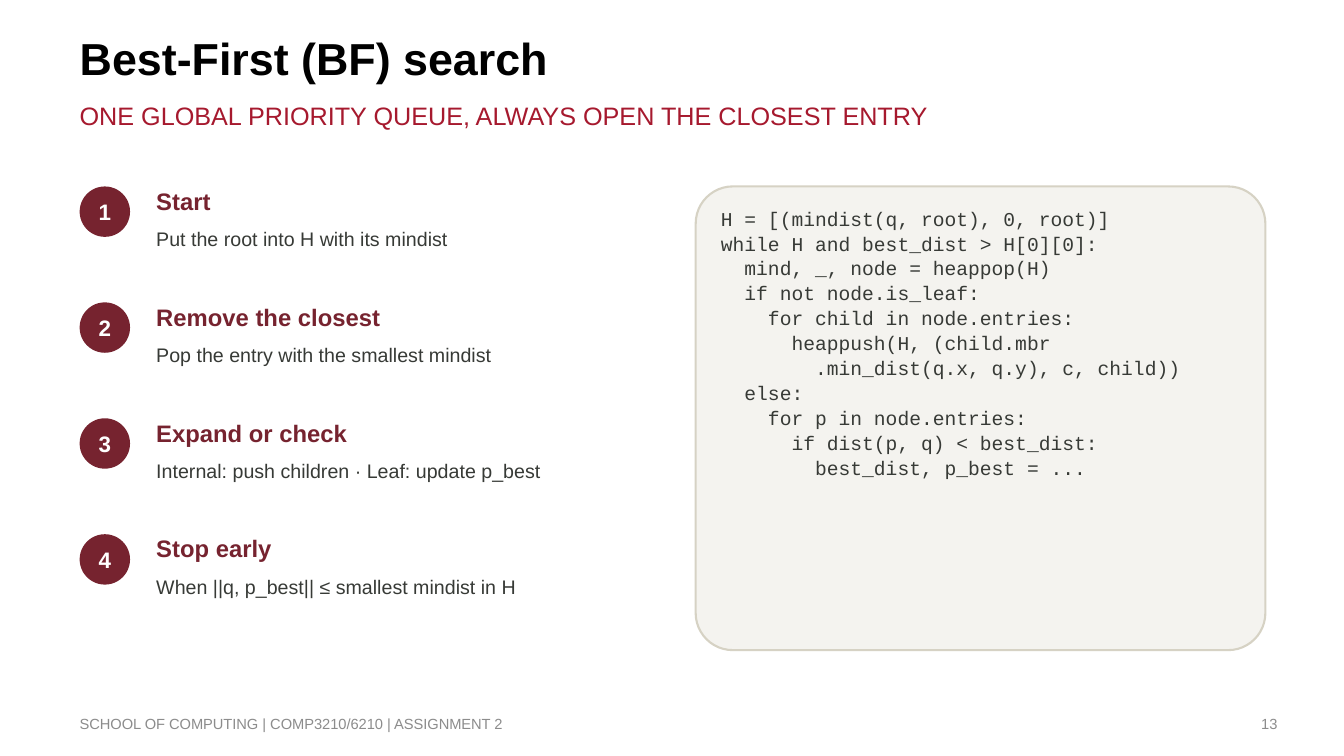
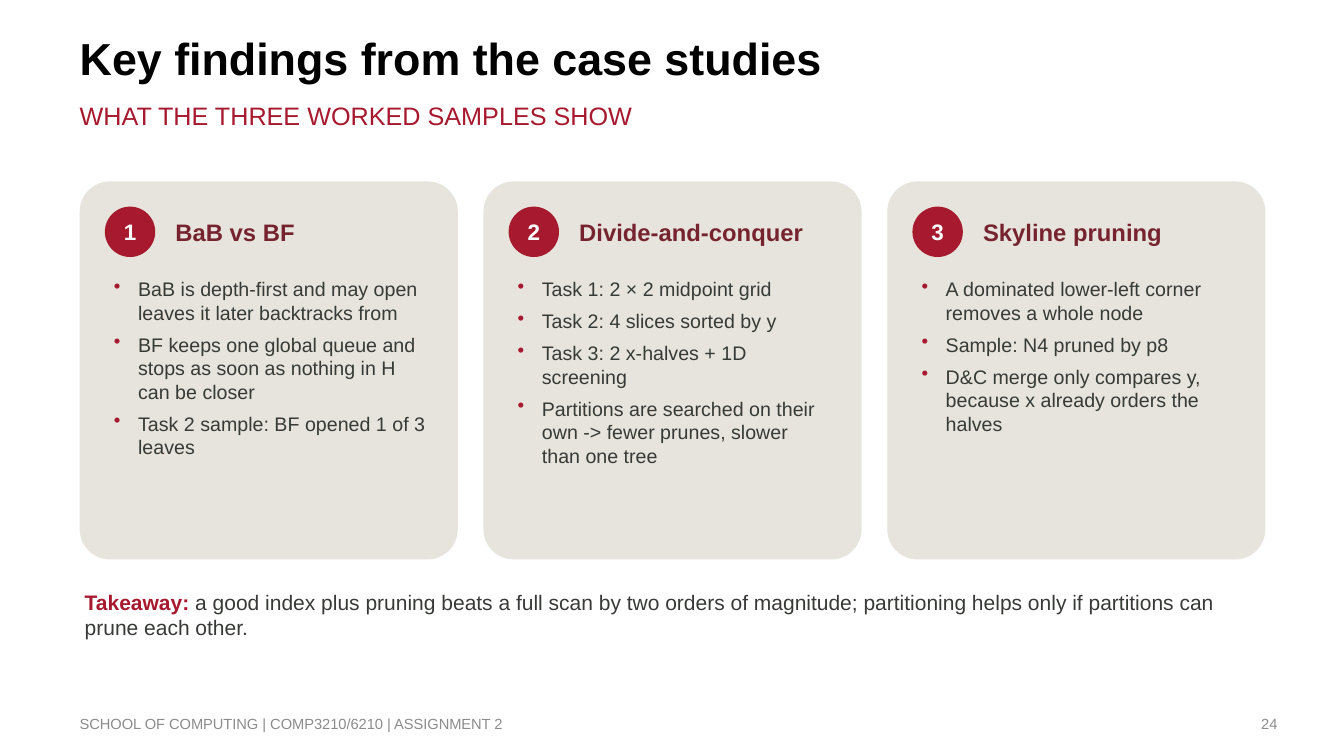
from lxml.etree import SubElement
from pptx import Presentation
from pptx.dml.color import RGBColor
from pptx.enum.shapes import MSO_SHAPE as Shape
from pptx.enum.text import MSO_ANCHOR as Anchor, PP_ALIGN as Align
from pptx.oxml.ns import qn
from pptx.util import Inches, Pt

BLACK = RGBColor(0x00, 0x00, 0x00)
WHITE = RGBColor(0xFF, 0xFF, 0xFF)
RED = RGBColor(0xA6, 0x19, 0x2E)
MAROON = RGBColor(0x76, 0x23, 0x2F)
CHARCOAL = RGBColor(0x37, 0x3A, 0x36)
GREY = RGBColor(0x8C, 0x8C, 0x8C)
SAND = RGBColor(0xE6, 0xE4, 0xDC)
SAND_EDGE = RGBColor(0xD6, 0xD2, 0xC4)
PAPER = RGBColor(0xF4, 0xF3, 0xEF)

LEFT, CONTENT_WIDTH = 0.79, 11.76
BADGE_SIZE = 0.5
PADDING = 0.05
FOOTER = "SCHOOL OF COMPUTING | COMP3210/6210 | ASSIGNMENT 2"

STEPS = [
    ("Start", "Put the root into H with its mindist"),
    ("Remove the closest", "Pop the entry with the smallest mindist"),
    ("Expand or check", "Internal: push children · Leaf: update p_best"),
    ("Stop early", "When ||q, p_best|| ≤ smallest mindist in H"),
]

CODE = """\
H = [(mindist(q, root), 0, root)]
while H and best_dist > H[0][0]:
  mind, _, node = heappop(H)
  if not node.is_leaf:
    for child in node.entries:
      heappush(H, (child.mbr
        .min_dist(q.x, q.y), c, child))
  else:
    for p in node.entries:
      if dist(p, q) < best_dist:
        best_dist, p_best = ..."""

FINDINGS = [
    ("BaB vs BF", [
        "BaB is depth-first and may open leaves it later backtracks from",
        "BF keeps one global queue and stops as soon as nothing in H can be closer",
        "Task 2 sample: BF opened 1 of 3 leaves",
    ]),
    ("Divide-and-conquer", [
        "Task 1: 2 × 2 midpoint grid",
        "Task 2: 4 slices sorted by y",
        "Task 3: 2 x-halves + 1D screening",
        "Partitions are searched on their own -> fewer prunes, slower than one tree",
    ]),
    ("Skyline pruning", [
        "A dominated lower-left corner removes a whole node",
        "Sample: N4 pruned by p8",
        "D&C merge only compares y, because x already orders the halves",
    ]),
]

TAKEAWAY = ("a good index plus pruning beats a full scan by two orders of magnitude; "
            "partitioning helps only if partitions can prune each other.")


def set_frame(frame, padding, anchor):
    frame.word_wrap = True
    frame.vertical_anchor = anchor
    frame.margin_left = frame.margin_right = Inches(padding)
    frame.margin_top = frame.margin_bottom = Inches(padding)


def style(paragraph, size, color, bold=False, font="Arial", align=Align.LEFT):
    paragraph.alignment = align
    paragraph.font.name = font
    paragraph.font.size = Pt(size)
    paragraph.font.bold = bold
    paragraph.font.color.rgb = color


def add_bullet(paragraph):
    properties = paragraph._p.get_or_add_pPr()
    properties.set("marL", str(Inches(0.28)))
    properties.set("indent", str(Inches(-0.24)))
    bullet_color = SubElement(properties, qn("a:buClr"))
    SubElement(bullet_color, qn("a:srgbClr"), val=str(RED))
    SubElement(properties, qn("a:buChar"), char="•")


def add_text(slide, box, lines, size, color, padding=PADDING, anchor=Anchor.TOP,
             gap=0, bulleted=False, **look):
    """Write one paragraph per line, with gap points between them."""
    frame = slide.shapes.add_textbox(*map(Inches, box)).text_frame
    set_frame(frame, padding, anchor)
    for index, line in enumerate(lines):
        paragraph = frame.add_paragraph() if index else frame.paragraphs[0]
        paragraph.text = line
        paragraph.space_after = Pt(gap)
        if bulleted:
            add_bullet(paragraph)
        style(paragraph, size, color, **look)


def add_panel(slide, kind, box, fill, edge=None):
    panel = slide.shapes.add_shape(kind, *map(Inches, box))
    panel.shadow.inherit = False
    panel.fill.solid()
    panel.fill.fore_color.rgb = fill
    if edge is None:
        panel.line.fill.background()
    else:
        panel.line.color.rgb = edge
        panel.line.width = Pt(1.5)
    return panel


def add_card(slide, box, fill, edge=None):
    card = add_panel(slide, Shape.ROUNDED_RECTANGLE, box, fill, edge)
    card.adjustments[0] = 0.08


def add_badge(slide, left, top, number, fill):
    badge = add_panel(slide, Shape.OVAL, (left, top, BADGE_SIZE, BADGE_SIZE), fill)
    set_frame(badge.text_frame, 0, Anchor.MIDDLE)
    label = badge.text_frame.paragraphs[0]
    label.text = str(number)
    style(label, 16, WHITE, bold=True, align=Align.CENTER)


def add_base(deck, title, subtitle, page):
    """Start a slide with the title, subtitle and footer that all slides share."""
    slide = deck.slides.add_slide(deck.slide_layouts[6])
    add_text(slide, (LEFT, 0.3, 9.25, 0.71), [title], 32, BLACK, padding=0, bold=True)
    add_text(slide, (LEFT, 0.99, 9.34, 0.49), [subtitle], 18, RED, padding=0)
    footer_look = dict(size=10.5, color=GREY, padding=0, anchor=Anchor.MIDDLE)
    add_text(slide, (LEFT, 6.98, 5.88, 0.4), [FOOTER], **footer_look)
    add_text(slide, (9.56, 6.98, 3.11, 0.4), [str(page)], align=Align.RIGHT, **footer_look)
    return slide


def add_step(slide, left, top, number, heading, detail):
    add_badge(slide, left, top + 0.05, number, MAROON)
    text_left = left + 0.71
    add_text(slide, (text_left, top, 4.9, 0.4), [heading], 17, MAROON, bold=True)
    add_text(slide, (text_left, top + 0.4, 4.9, 0.6), [detail], 14, CHARCOAL)


def add_code(slide, left, top, width, height):
    add_card(slide, (left, top, width, height), PAPER, SAND_EDGE)
    add_text(slide, (left + 0.2, top + 0.15, width - 0.4, height - 0.3),
             CODE.splitlines(), 14, CHARCOAL, gap=1, font="Courier New")


def add_finding(slide, left, top, size, number, heading, points):
    add_card(slide, (left, top, size, size), SAND)
    inner_left, inner_top = left + 0.25, top + 0.25
    add_badge(slide, inner_left, inner_top, number, RED)
    add_text(slide, (inner_left + 0.65, inner_top, size - 1.1, BADGE_SIZE), [heading],
             17, MAROON, bold=True, anchor=Anchor.MIDDLE)
    add_text(slide, (inner_left, top + 0.9, size - 0.5, size - 1.05), points,
             14, CHARCOAL, gap=6, bulleted=True)


def add_takeaway(slide, box):
    frame = slide.shapes.add_textbox(*map(Inches, box)).text_frame
    set_frame(frame, PADDING, Anchor.TOP)
    paragraph = frame.paragraphs[0]
    style(paragraph, 15, CHARCOAL)
    lead = paragraph.add_run()
    lead.text = "Takeaway: "
    lead.font.bold = True
    lead.font.color.rgb = RED
    paragraph.add_run().text = TAKEAWAY


def build_search_slide(deck):
    slide = add_base(deck, "Best-First (BF) search",
                     "ONE GLOBAL PRIORITY QUEUE, ALWAYS OPEN THE CLOSEST ENTRY", 13)
    for index, (heading, detail) in enumerate(STEPS):
        add_step(slide, LEFT, 1.8 + 1.15 * index, index + 1, heading, detail)
    add_code(slide, 6.9, 1.85, 5.65, 4.6)


def build_findings_slide(deck):
    slide = add_base(deck, "Key findings from the case studies",
                     "WHAT THE THREE WORKED SAMPLES SHOW", 24)
    card_size = 3.75
    pitch = (CONTENT_WIDTH - card_size) / (len(FINDINGS) - 1)
    for index, (heading, points) in enumerate(FINDINGS):
        add_finding(slide, LEFT + pitch * index, 1.8, card_size, index + 1, heading, points)
    add_takeaway(slide, (LEFT, 5.8, CONTENT_WIDTH, 0.8))


def main():
    deck = Presentation()
    deck.slide_width, deck.slide_height = Inches(13.33), Inches(7.5)
    build_search_slide(deck)
    build_findings_slide(deck)
    deck.save("out.pptx")


if __name__ == "__main__":
    main()
